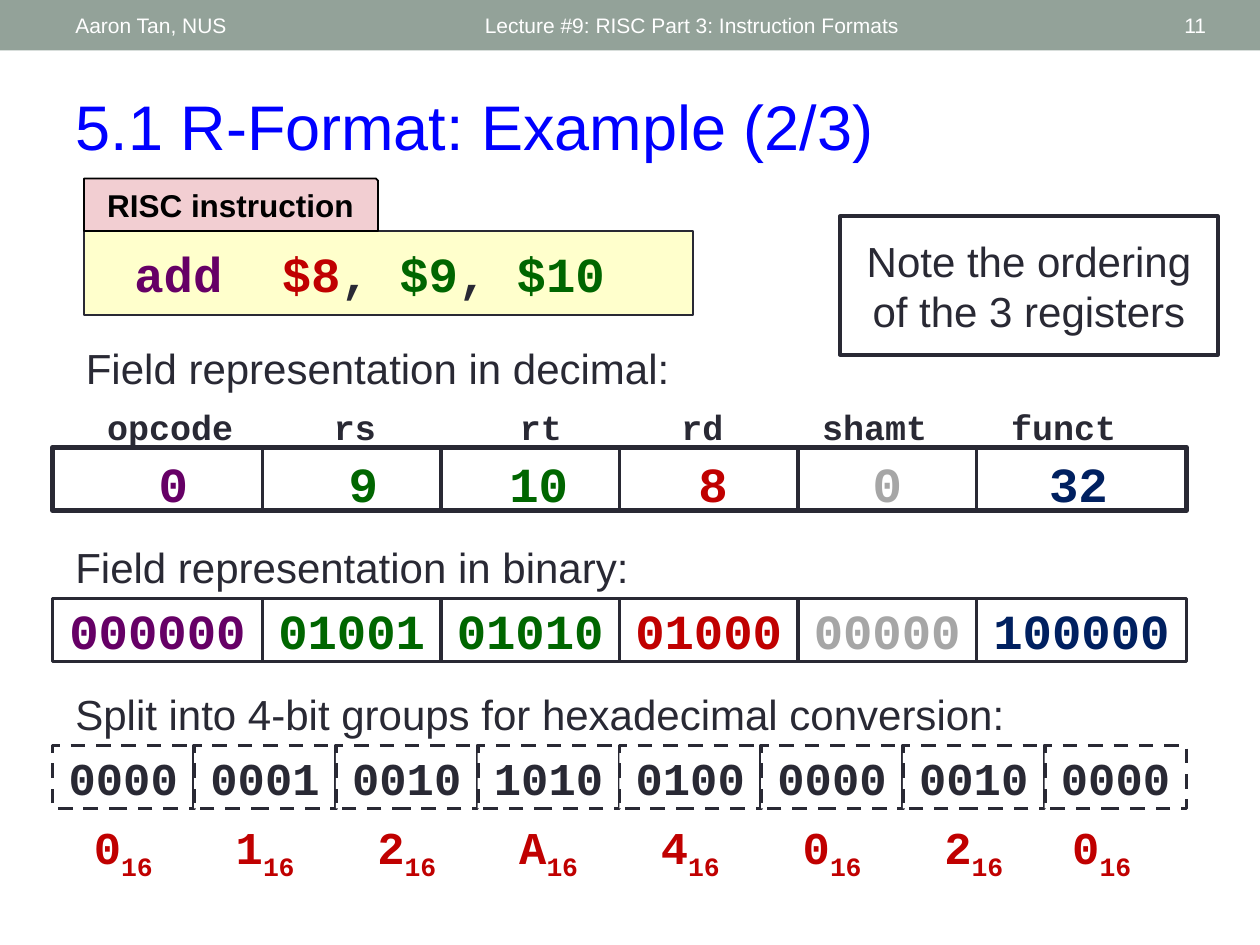
from lxml import etree
from pptx import Presentation
from pptx.dml.color import RGBColor
from pptx.enum.dml import MSO_LINE
from pptx.enum.shapes import MSO_CONNECTOR, MSO_SHAPE
from pptx.enum.text import MSO_ANCHOR, PP_ALIGN
from pptx.oxml.ns import qn
from pptx.util import Inches, Pt

INK = RGBColor(0x29, 0x29, 0x34)
BLACK = RGBColor(0, 0, 0)
WHITE = RGBColor(0xFF, 0xFF, 0xFF)
BLUE = RGBColor(0, 0, 0xFF)
SAGE = RGBColor(0x93, 0xA2, 0x99)
PURPLE = RGBColor(0x66, 0, 0x66)
GREEN = RGBColor(0, 0x66, 0)
RED = RGBColor(0xC0, 0, 0)
NAVY = RGBColor(0, 0x20, 0x60)
GREY = RGBColor(0xA6, 0xA6, 0xA6)
PINK = RGBColor(0xF2, 0xCE, 0xD2)
CREAM = RGBColor(0xFF, 0xFF, 0xCC)

SANS, MONO = "Arial", "Courier New"
LEFT, CENTER, RIGHT = PP_ALIGN.LEFT, PP_ALIGN.CENTER, PP_ALIGN.RIGHT
TOP, MIDDLE = MSO_ANCHOR.TOP, MSO_ANCHOR.MIDDLE
RECTANGLE, SNIPPED = MSO_SHAPE.RECTANGLE, MSO_SHAPE.SNIP_1_RECTANGLE
STRAIGHT, DASH = MSO_CONNECTOR.STRAIGHT, MSO_LINE.DASH

COLUMNS, ROWS = 120, 90
UNIT = Inches(10) / COLUMNS
BORDER = 2.08

FIELD_WIDTHS = [20, 17, 17, 17, 17, 20]
FIELD_COLORS = [PURPLE, GREEN, GREEN, RED, GREY, NAVY]
NAMES = ["opcode", "rs", "rt", "rd", "shamt", "funct"]
NAME_CENTERS = [11.2, 28.8, 46.5, 61.9, 78.3, 96.3]
DECIMALS = ["0", "9", "10", "8", "0", "32"]
DECIMAL_CENTERS = [11.5, 29.6, 46.3, 62.9, 79.5, 97.7]
BINARIES = ["000000", "01001", "01010", "01000", "00000", "100000"]
NIBBLES = ["0000", "0001", "0010", "1010", "0100", "0000", "0010", "0000"]
HEX_DIGITS = "012A4020"


def grid(*lengths):
    """Turn grid columns and rows into slide lengths."""
    return [round(length * UNIT) for length in lengths]


def write(shape, spans, size, font=SANS, bold=False, align=LEFT, anchor=MIDDLE):
    """Write (text, colour) spans into a shape's only paragraph and return it."""
    frame = shape.text_frame
    frame.word_wrap = True
    frame.vertical_anchor = anchor
    para = frame.paragraphs[0]
    para.alignment = align
    for text, color in spans:
        span = para.add_run()
        span.text = text
        span.font.name, span.font.size, span.font.bold = font, Pt(size), bold
        span.font.color.rgb = color
    return para


def add_text(page, box, text, size, color=INK, **style):
    """Add a text box holding one span."""
    write(page.shapes.add_textbox(*grid(*box)), [(text, color)], size, **style)


def add_block(page, box, fill=WHITE, line=INK, width=BORDER, kind=RECTANGLE):
    """Add a shape, leaving out the fill or outline when its colour is None."""
    block = page.shapes.add_shape(kind, *grid(*box))
    block.shadow.inherit = False
    if fill is None:
        block.fill.background()
    else:
        block.fill.solid()
        block.fill.fore_color.rgb = fill
    if line is None:
        block.line.fill.background()
    else:
        block.line.color.rgb = line
        block.line.width = Pt(width)
    return block


def split(box, widths):
    """Yield side-by-side cells of the given widths."""
    left, top, _, height = box
    for width in widths:
        yield left, top, width, height
        left += width


def add_header(page, box):
    """Draw the top band with its author, lecture and page number."""
    left, top, width, height = box
    add_block(page, box, fill=SAGE, line=None)
    for start, span, text, align in [
        (0.05, 0.32, "Aaron Tan, NUS", LEFT),
        (0.375, 0.45, "Lecture #9: RISC Part 3: Instruction Formats", LEFT),
        (0.872, 0.095, "11", RIGHT),
    ]:
        part = (left + start * width, top, span * width, height)
        add_text(page, part, text, 12, WHITE, align=align)


def add_title(page, box):
    """Move and format the title placeholder."""
    title = page.shapes.title
    title.left, title.top, title.width, title.height = grid(*box)
    write(title, [("5.1 R-Format: Example (2/3)", BLUE)], 36, anchor=TOP)


def add_instruction(page, box):
    """Draw the assembly instruction under its label tab."""
    left, top, width, height = box
    tab_height = 5
    code = add_block(page, (left, top + tab_height, width, height - tab_height), CREAM, width=1)
    code.text_frame.margin_left = Inches(0.4)
    spans = [("add\t", PURPLE), ("$8", RED), (", ", INK),
             ("$9", GREEN), (", ", INK), ("$10", GREEN)]
    para = write(code, spans, 28, MONO, True)
    stops = etree.SubElement(para._p.get_or_add_pPr(), qn("a:tabLst"))
    etree.SubElement(stops, qn("a:tab"), pos=str(Inches(1.17)), algn="l")
    label = add_block(page, (left, top, 28, tab_height), PINK, BLACK, 1, SNIPPED)
    label.adjustments[0] = 0.04
    write(label, [("RISC instruction", BLACK)], 18, bold=True, align=CENTER)


def add_note(page, box):
    """Draw the boxed remark on register order."""
    note = add_block(page, box)
    write(note, [("Note the ordering of the 3 registers", INK)], 24, align=CENTER)


def add_decimal_fields(page, box):
    """Draw named decimal fields in a frame with dividers."""
    left, top, _, height = box
    style = {"font": MONO, "bold": True, "align": CENTER, "anchor": TOP}
    for name, name_center, value, value_center, color in zip(
        NAMES, NAME_CENTERS, DECIMALS, DECIMAL_CENTERS, FIELD_COLORS
    ):
        add_text(page, (left + name_center - 8, top - 4.6, 16, 5.2), name, 20, **style)
        add_text(page, (left + value_center - 8, top, 16, 6.8), value, 28, color, **style)
    add_block(page, box, fill=None, width=3)
    for x, *_ in list(split(box, FIELD_WIDTHS))[1:]:
        divider = page.shapes.add_connector(STRAIGHT, *grid(x, top, x, top + height))
        divider.line.color.rgb = INK
        divider.line.width = Pt(2.25)
        etree.SubElement(divider._element.spPr, qn("a:effectLst"))


def add_binary_fields(page, box):
    """Draw one bordered cell for each binary field."""
    for cell, bits, color in zip(split(box, FIELD_WIDTHS), BINARIES, FIELD_COLORS):
        write(add_block(page, cell), [(bits, color)], 28, MONO, True, CENTER)


def add_nibbles(page, box):
    """Draw dashed 4-bit cells above their hexadecimal digits."""
    widths = [box[2] / len(NIBBLES)] * len(NIBBLES)
    for cell, bits in zip(split(box, widths), NIBBLES):
        block = add_block(page, cell)
        block.line.dash_style = DASH
        write(block, [(bits, INK)], 26, MONO, True, CENTER)
    digit_box = (box[0], box[1] + 7, box[2], box[3])
    for cell, digit in zip(split(digit_box, widths), HEX_DIGITS):
        block = add_block(page, cell, line=None)
        para = write(block, [(digit, RED), ("16", RED)], 26, MONO, True, CENTER)
        para.runs[1].font._element.set("baseline", "-25000")
    block.text_frame.margin_right = Inches(0.32)


def main():
    """Build and save the slide."""
    deck = Presentation()
    deck.slide_width, deck.slide_height = grid(COLUMNS, ROWS)
    page = deck.slides.add_slide(deck.slide_layouts[5])
    add_header(page, (0, 0, COLUMNS, 4.8))
    add_title(page, (6, 7.7, 108, 8.5))
    add_text(page, (7, 32, 73, 6), "Field representation in decimal:", 24, anchor=TOP)
    add_decimal_fields(page, (5, 42.6, 108, 6))
    add_text(page, (6, 51, 73, 6), "Field representation in binary:", 24, anchor=TOP)
    add_note(page, (80, 20.6, 36, 13.2))
    add_binary_fields(page, (5, 57, 108, 6))
    add_text(page, (6, 65, 96, 6), "Split into 4-bit groups for hexadecimal conversion:", 24, anchor=TOP)
    add_nibbles(page, (5, 71, 108, 6))
    add_instruction(page, (8, 17, 58, 13))
    deck.save("out.pptx")


if __name__ == "__main__":
    main()
